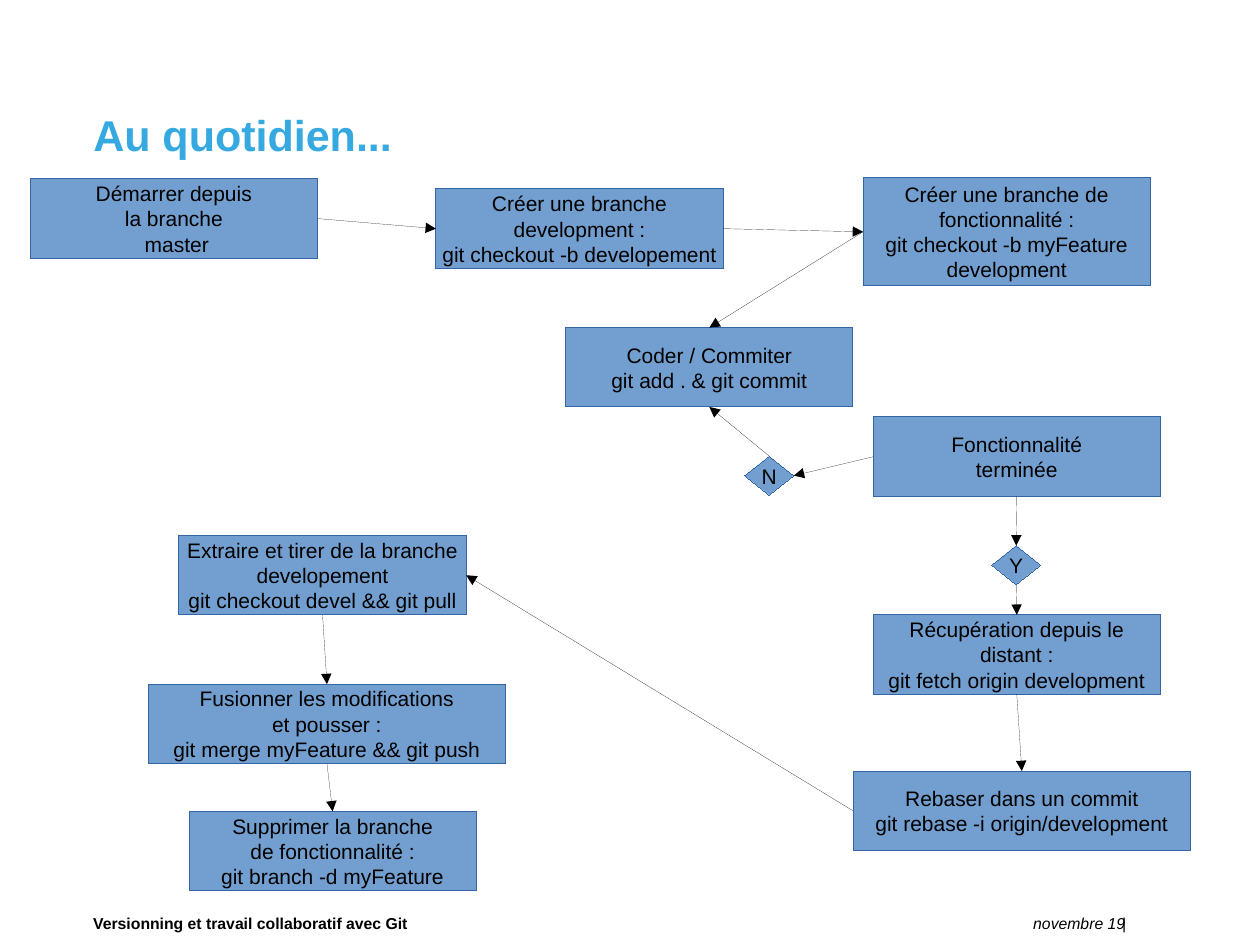
"""Build the slide showing a daily Git workflow as a flowchart."""
import copy

import pptx
import pptx.dml.color
import pptx.enum.shapes
import pptx.enum.text
import pptx.oxml
import pptx.oxml.ns
import pptx.util

Inches = pptx.util.Inches
Align = pptx.enum.text.PP_ALIGN
Preset = pptx.enum.shapes.MSO_SHAPE

THEME = {
    "font": "Arial", "title": "36A9E1", "ink": "000000", "fill": "729FCF", "edge": "3465A4",
    "title_size": 24.6, "step_size": 12, "footer_size": 9,
}

TITLE = "Au quotidien..."
FOOTERS = [
    (" |", 8.82, 0.29, Align.LEFT, {}),
    ("Versionning et travail collaboratif avec Git", 0.69, 5.23, Align.LEFT, {"bold": True}),
    ("novembre 19", 6.75, 2.23, Align.RIGHT, {"italic": True}),
]
FOOTER_TOP, FOOTER_HEIGHT = 7.2, 0.25

STEP_WIDTH, STEP_HEIGHT = 2.28, 0.63
STEPS = {
    "start": ("Démarrer depuis\nla branche\n master", 0.24, 1.42, {}),
    "develop": ("Créer une branche\ndevelopment :\ngit checkout -b developement", 3.46, 1.5, {}),
    "feature": ("Créer une branche de\nfonctionnalité :\ngit checkout -b myFeature\ndevelopment",
                6.85, 1.41, {"height": 0.86}),
    "code": ("Coder / Commiter\ngit add . & git commit", 4.49, 2.6, {}),
    "done": ("Fonctionnalité\nterminée", 6.93, 3.31, {}),
    "fetch": ("Récupération depuis le\ndistant :\ngit fetch origin development", 6.93, 4.88, {}),
    "rebase": ("Rebaser dans un commit\ngit rebase -i origin/development", 6.77, 6.12, {"width": 2.68}),
    "pull": ("Extraire et tirer de la branche\ndevelopement\ngit checkout devel && git pull",
             1.42, 4.25, {}),
    "merge": ("Fusionner les modifications\net pousser :\ngit merge myFeature && git push",
              1.18, 5.43, {"width": 2.83}),
    "delete": ("Supprimer la branche\nde fonctionnalité :\ngit branch -d myFeature", 1.5, 6.44, {}),
}
ANSWER = {"width": 0.39, "height": 0.31, "preset": Preset.DIAMOND}
STEPS["no"] = ("N", 5.91, 3.62, ANSWER)
STEPS["yes"] = ("Y", 7.87, 4.33, ANSWER)

TOP, LEFT, BOTTOM, RIGHT = range(4)
ARROWS = [
    ("start", RIGHT, "develop", LEFT),
    ("develop", RIGHT, "feature", LEFT),
    ("feature", LEFT, "code", TOP),
    ("done", LEFT, "no", RIGHT),
    ("no", TOP, "code", BOTTOM),
    ("done", BOTTOM, "yes", TOP),
    ("yes", BOTTOM, "fetch", TOP),
    ("fetch", BOTTOM, "rebase", TOP),
    ("rebase", LEFT, "pull", RIGHT),
    ("pull", BOTTOM, "merge", TOP),
    ("merge", BOTTOM, "delete", TOP),
]


def rgb(name):
    return pptx.dml.color.RGBColor.from_string(THEME[name])


def drop_style(drawn):
    drawn._element.remove(drawn._element.find(pptx.oxml.ns.qn("p:style")))


def write(frame, text, size, align, color="ink", side=0.05, wrap=True, **emphasis):
    frame.margin_left = frame.margin_right = Inches(side)
    frame.margin_top = frame.margin_bottom = Inches(0.05)
    frame.vertical_anchor = pptx.enum.text.MSO_ANCHOR.MIDDLE
    frame.word_wrap = wrap
    paragraph = frame.paragraphs[0]
    paragraph.text = text
    paragraph.alignment = align
    for run in paragraph.runs:
        run.font.name = THEME["font"]
        run.font.size = pptx.util.Pt(THEME[size])
        run.font.color.rgb = rgb(color)
        for kind, value in emphasis.items():
            setattr(run.font, kind, value)
    for line_break in paragraph._p.findall(pptx.oxml.ns.qn("a:br")):
        line_break.append(copy.deepcopy(paragraph.runs[0]._r.rPr))
    return paragraph


def add_label(slide, box, *content, **style):
    label = slide.shapes.add_textbox(*map(Inches, box))
    return write(label.text_frame, *content, **style)


def add_step(slide, text, left, top, options):
    width = options.get("width", STEP_WIDTH)
    height = options.get("height", STEP_HEIGHT)
    preset = options.get("preset", Preset.RECTANGLE)
    step = slide.shapes.add_shape(preset, *map(Inches, (left, top, width, height)))
    drop_style(step)
    step.shadow.inherit = False
    step.fill.solid()
    step.fill.fore_color.rgb = rgb("fill")
    step.line.color.rgb = rgb("edge")
    write(step.text_frame, text, "step_size", Align.CENTER, side=0.1, wrap=False)
    return step


def add_arrow(slide, source, source_side, target, target_side):
    arrow = slide.shapes.add_connector(pptx.enum.shapes.MSO_CONNECTOR.STRAIGHT, 0, 0, 0, 0)
    arrow.begin_connect(source, source_side)
    arrow.end_connect(target, target_side)
    drop_style(arrow)
    arrow.line.color.rgb = rgb("ink")
    namespace = pptx.oxml.ns.nsdecls("a")
    arrow.line._ln.append(pptx.oxml.parse_xml(f'<a:tailEnd {namespace} type="triangle"/>'))
    arrow._element.spPr.append(pptx.oxml.parse_xml(f"<a:effectLst {namespace}/>"))


def main():
    deck = pptx.Presentation()
    deck.slide_width, deck.slide_height = Inches(10), Inches(7.5)
    slide = deck.slides.add_slide(deck.slide_layouts[6])

    for text, left, width, align, emphasis in FOOTERS:
        box = (left, FOOTER_TOP, width, FOOTER_HEIGHT)
        add_label(slide, box, text, "footer_size", align, **emphasis)
    title = add_label(slide, (0.69, 0.77, 8.62, 0.64), TITLE, "title_size", Align.LEFT,
                      color="title", bold=True)
    title.line_spacing = 0.9

    steps = {key: add_step(slide, *content) for key, content in STEPS.items()}
    for source, source_side, target, target_side in ARROWS:
        add_arrow(slide, steps[source], source_side, steps[target], target_side)

    deck.save("out.pptx")


if __name__ == "__main__":
    main()
